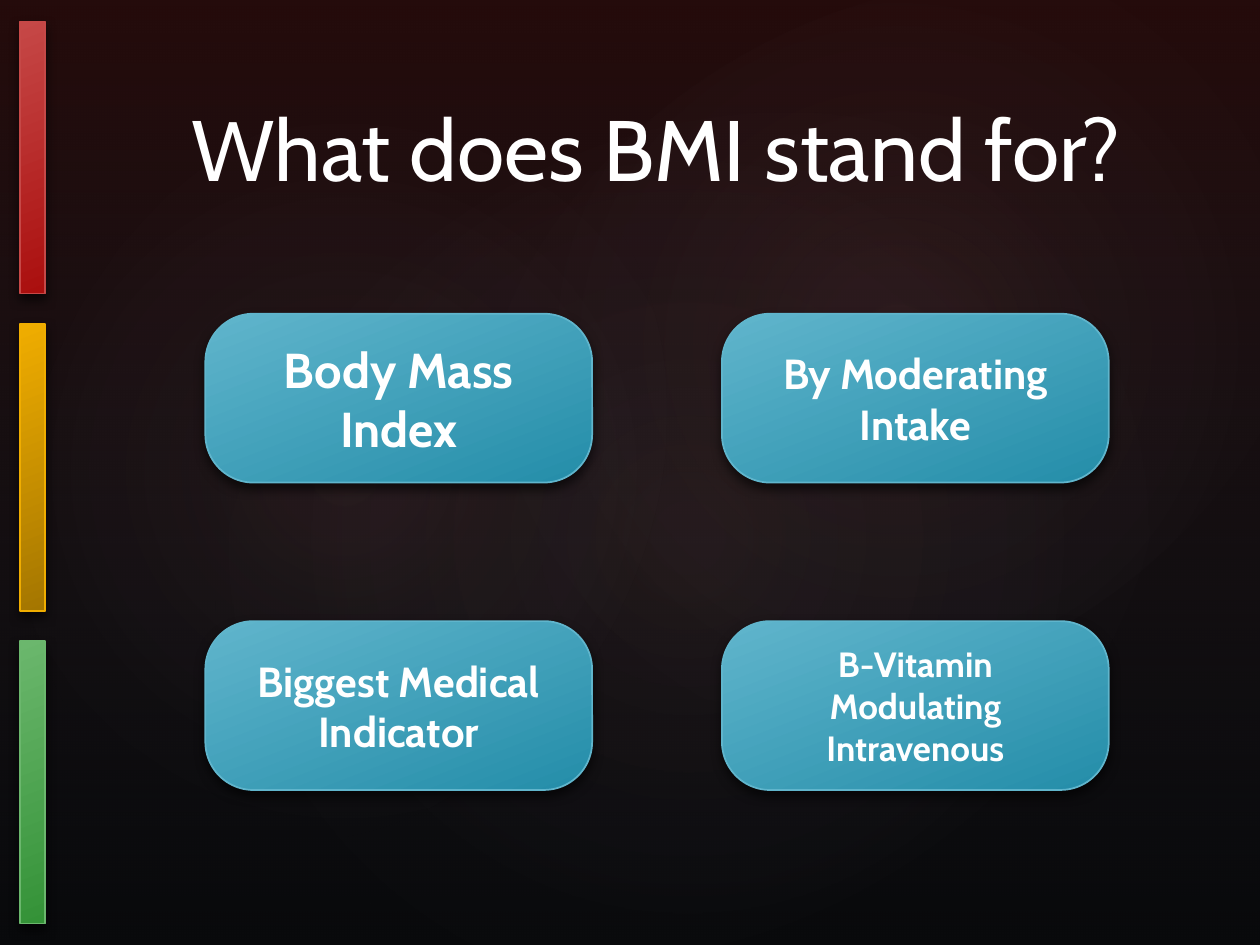
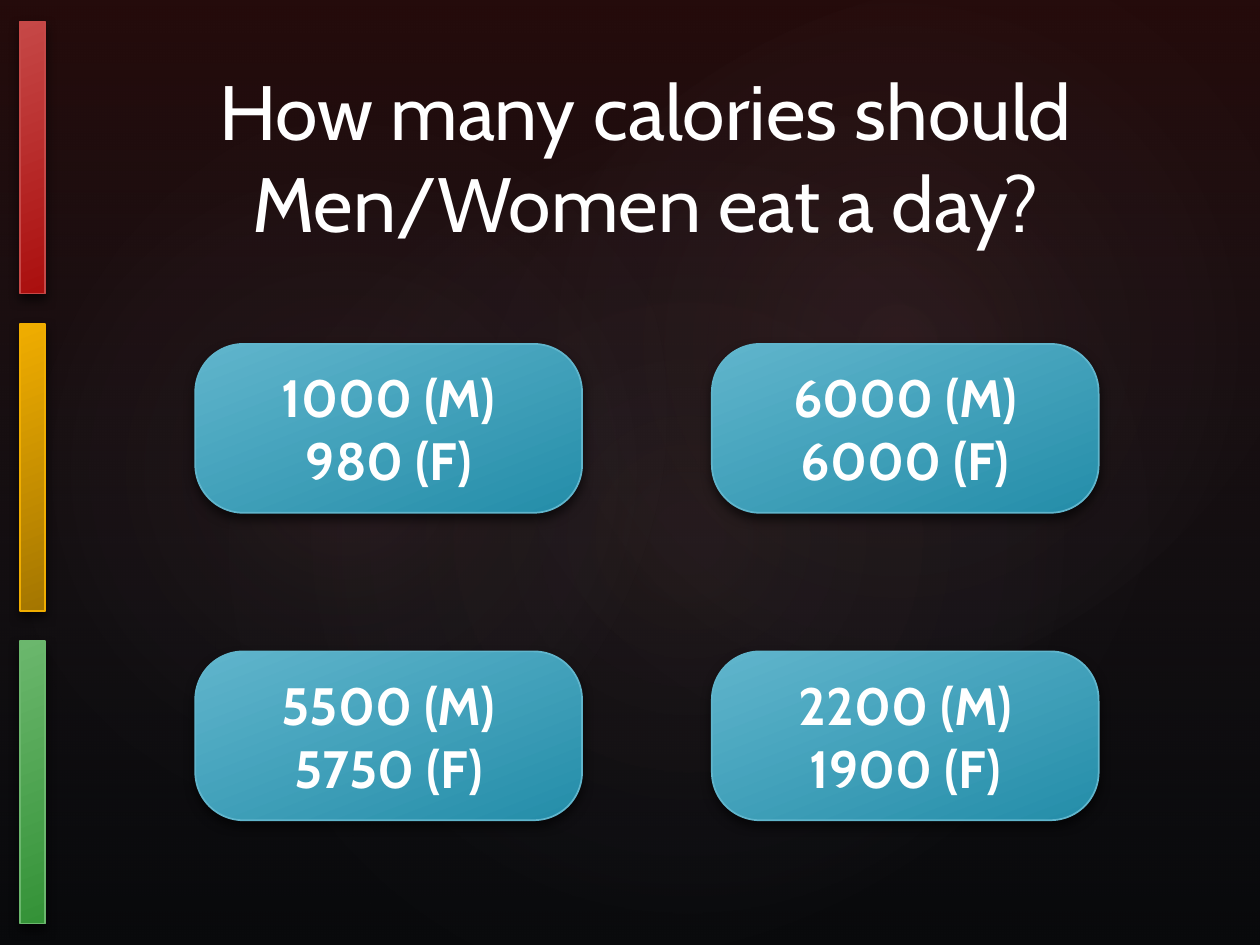
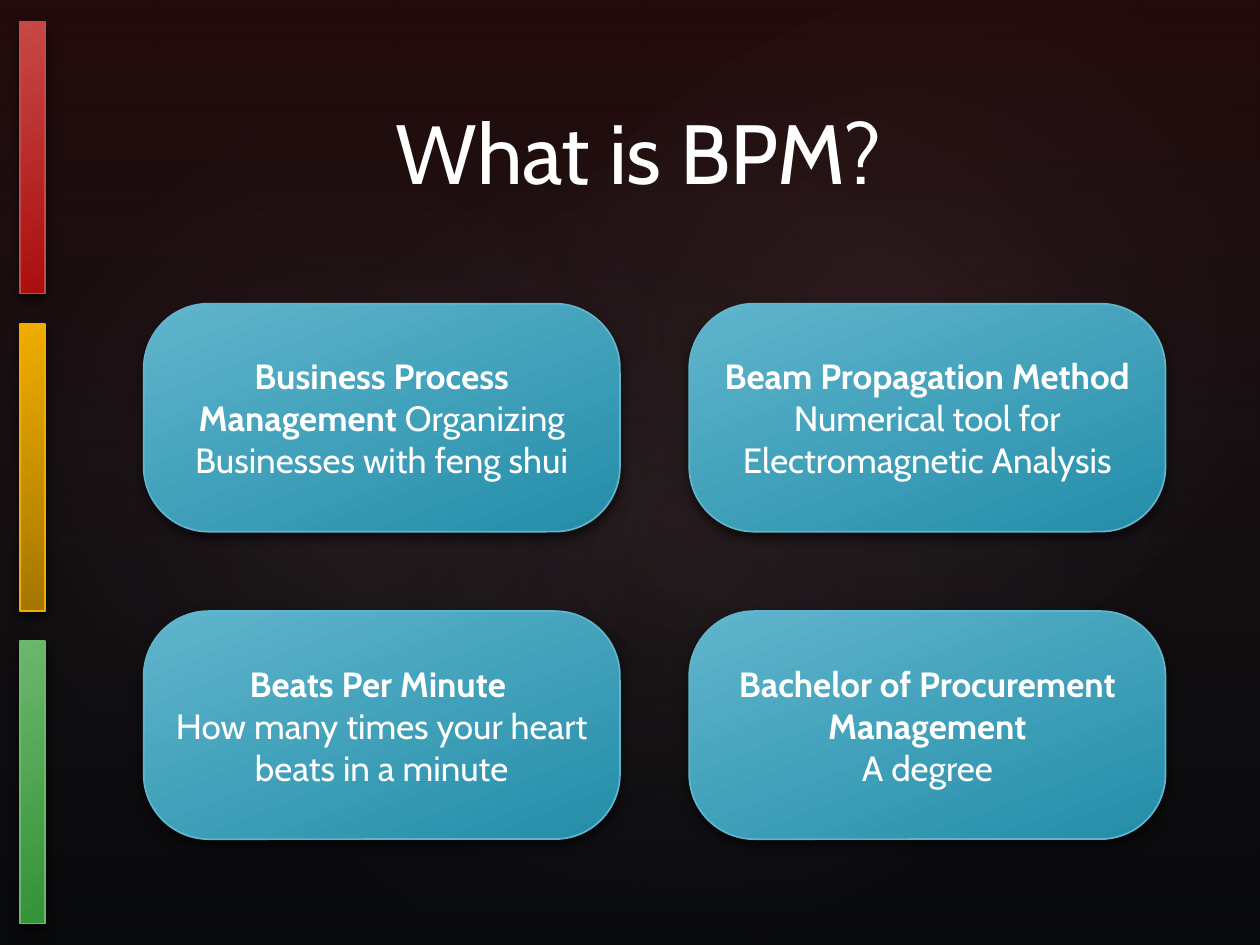
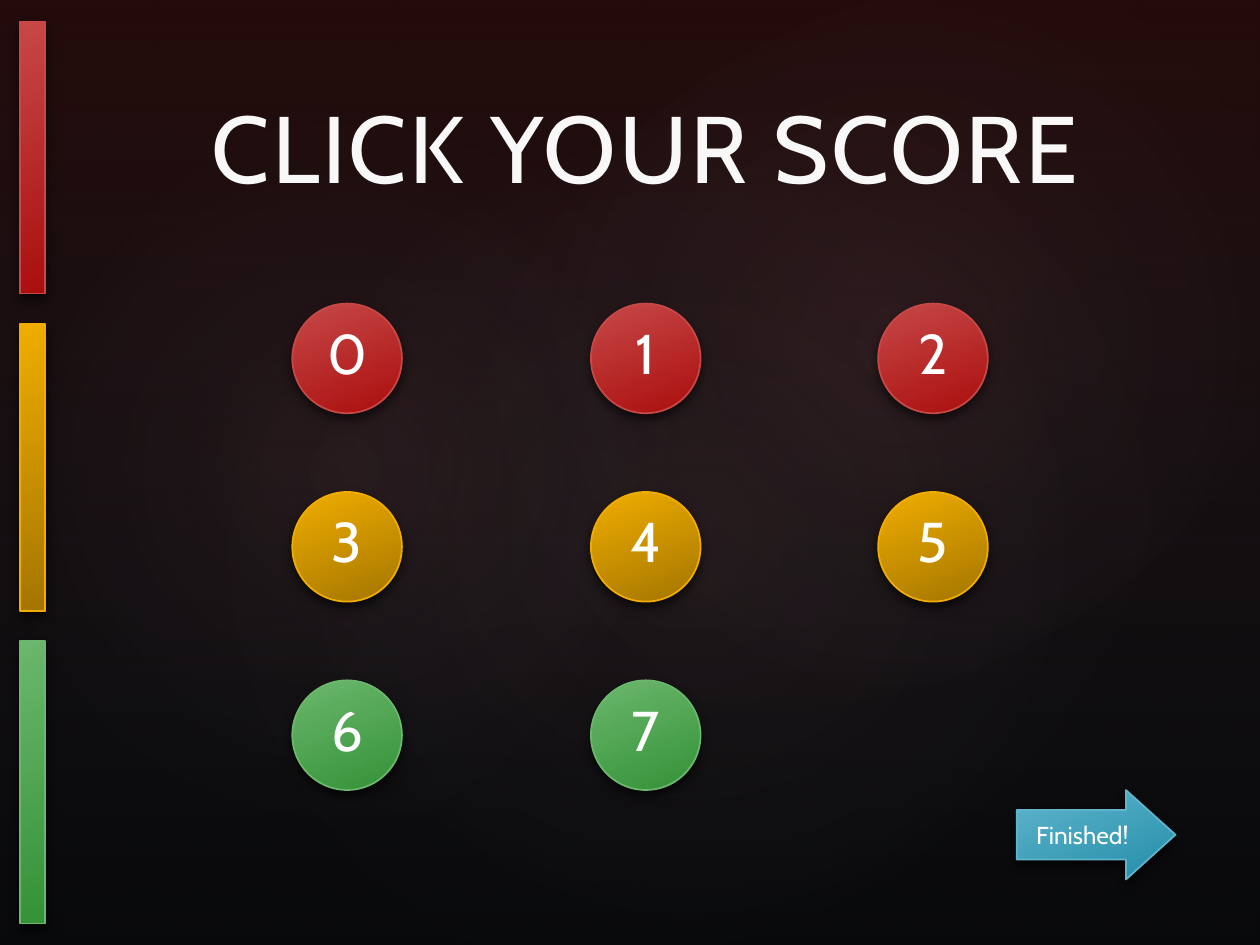
from dataclasses import dataclass
from typing import Any, NamedTuple

from pptx import Presentation
from pptx.dml.color import RGBColor
from pptx.enum.shapes import MSO_SHAPE
from pptx.enum.text import MSO_ANCHOR, PP_ALIGN
from pptx.oxml import parse_xml
from pptx.oxml.ns import nsdecls, qn
from pptx.util import Inches, Length, Pt

RECTANGLE = MSO_SHAPE.RECTANGLE
ROUNDED = MSO_SHAPE.ROUNDED_RECTANGLE
OVAL = MSO_SHAPE.OVAL
ARROW = MSO_SHAPE.RIGHT_ARROW
CENTER = PP_ALIGN.CENTER
MIDDLE = MSO_ANCHOR.MIDDLE
BOTTOM = MSO_ANCHOR.BOTTOM

COLUMNS, ROWS = 100, 75
CELL = Inches(0.1)


class Tone(NamedTuple):
    light: str
    dark: str


@dataclass(frozen=True)
class Theme:
    font: str = "Cabin"
    background: str = "000000"
    text: str = "FFFFFF"
    score_title: str = "F8F8F8"
    wash: str = "672020"
    haze: str = "5A6378"
    glow: str = "DD9191"
    blue: Tone = Tone("60B5CC", "248DA9")
    red: Tone = Tone("C64847", "AA0F0E")
    amber: Tone = Tone("F0AD00", "A47600")
    green: Tone = Tone("6BB76D", "349237")
    score_title_size: int = 54
    score_size: int = 32
    button_size: int = 14


THEME = Theme()


class Box(NamedTuple):
    """A place on the slide, in grid columns and rows."""
    left: float
    top: float
    width: float
    height: float

    def lengths(self) -> list[Length]:
        return [Length(round(cells * CELL)) for cells in self]


class Stop(NamedTuple):
    position: int
    color: str
    opacity: int = 100


class Run(NamedTuple):
    text: str
    bold: bool = False


Paragraphs = list[list[Run]]


class Glow(NamedTuple):
    box: Box
    rotation: float
    opacity: int


class Bar(NamedTuple):
    tone: Tone
    top: float
    height: float


class Answer(NamedTuple):
    paragraphs: Paragraphs
    size: int


@dataclass(frozen=True)
class Question:
    """A title and four answers, listed row by row from the first card."""
    title: str
    title_size: int
    title_box: Box
    first_card: Box
    column_step: float
    row_step: float
    answers: list[Answer]


GLOWS = [
    Glow(Box(15, 11.4, 79.2, 62.4), 328.7, 7),
    Glow(Box(-3, 12.8, 60.6, 49), 294.3, 8),
    Glow(Box(35.8, 1.3, 70.9, 52), 328.7, 8),
]
BARS = [
    Bar(THEME.red, 1.7, 21.6),
    Bar(THEME.amber, 25.7, 22.8),
    Bar(THEME.green, 50.9, 22.4),
]
BAR_LEFT, BAR_WIDTH = 1.6, 2


def bold_lines(size: int, *lines: str) -> Answer:
    return Answer([[Run(line, True)] for line in lines], size)


def term(name: str, meaning: str) -> Answer:
    return Answer([[Run(name, True)], [Run(meaning)]], 20)


QUESTIONS = [
    Question(
        "What does BMI stand for?", 49, Box(10.8, 6, 82.5, 10),
        Box(16.3, 24.9, 30.7, 13.4), 41, 24.4,
        [
            bold_lines(28, "Body Mass Index"),
            bold_lines(24, "By Moderating Intake"),
            bold_lines(24, "Biggest Medical Indicator"),
            bold_lines(20, "B-Vitamin Modulating Intravenous"),
        ],
    ),
    Question(
        "How many calories should Men/Women eat a day?", 44, Box(10, 9.9, 82.5, 10),
        Box(15.5, 27.3, 30.7, 13.4), 41, 24.4,
        [
            bold_lines(30, "1000 (M)", "980 (F)"),
            bold_lines(30, "6000 (M)", "6000 (F)"),
            bold_lines(30, "5500 (M)", "5750 (F)"),
            bold_lines(30, "2200 (M)", "1900 (F)"),
        ],
    ),
    Question(
        "What is BPM? ", 48, Box(22.4, 5.7, 58.1, 10.5),
        Box(11.4, 24.1, 37.8, 18.1), 43.3, 24.4,
        [
            Answer([[Run("Business Process Management ", True),
                     Run("Organizing Businesses with feng shui")]], 20),
            term("Beam Propagation Method", "Numerical tool for Electromagnetic Analysis"),
            term("Beats Per Minute ", "How many times your heart beats in a minute"),
            term("Bachelor of Procurement Management", "A degree"),
        ],
    ),
]

SCORE_TITLE_BOX = Box(7.5, 8.4, 87.4, 7.9)
SCORE_COLUMNS = [23.2, 46.9, 69.7]
SCORE_TONES = [THEME.red, THEME.amber, THEME.green]
SCORE_TOP, SCORE_STEP, SCORE_DIAMETER = 24.1, 14.95, 8.7
SCORE_COUNT = 8
FINISH_BOX = Box(80.7, 62.7, 12.6, 7.1)


def set_all(target: Any, formats: dict[str, Any]) -> None:
    for attribute, value in formats.items():
        setattr(target, attribute, value)


def fill_gradient(shape: Any, stops: list[Stop], angle: int | None = None) -> None:
    """Fill along an angle in degrees, or outwards from the centre without one."""
    stop_xml = "".join(
        f'<a:gs pos="{stop.position * 1000}"><a:srgbClr val="{stop.color}">'
        f'<a:alpha val="{stop.opacity * 1000}"/></a:srgbClr></a:gs>'
        for stop in stops
    )
    if angle is None:
        course = ('<a:path path="circle"><a:fillToRect l="50000" t="50000" '
                  'r="50000" b="50000"/></a:path>')
    else:
        course = f'<a:lin ang="{angle * 60000}" scaled="0"/>'
    gradient = parse_xml(
        f'<a:gradFill {nsdecls("a")} rotWithShape="1">'
        f"<a:gsLst>{stop_xml}</a:gsLst>{course}</a:gradFill>"
    )
    shape.fill.background()
    properties = shape.element.spPr
    properties.replace(properties.find(qn("a:noFill")), gradient)


def add_plain(slide: Any, kind: Any, box: Box) -> Any:
    shape = slide.shapes.add_shape(kind, *box.lengths())
    shape.shadow.inherit = False
    shape.line.fill.background()
    return shape


def add_glossy(slide: Any, kind: Any, box: Box, tone: Tone,
               adjustments: tuple[float, ...] = ()) -> Any:
    """Add a shape with a light-to-dark fill, a thin edge and a drop shadow."""
    shape = add_plain(slide, kind, box)
    for index, adjustment in enumerate(adjustments):
        shape.adjustments[index] = adjustment
    fill_gradient(shape, [Stop(0, tone.light), Stop(100, tone.dark)], 69)
    shape.line.color.rgb = RGBColor.from_string(tone.light)
    shape.line.width = Pt(1)
    shape.element.spPr.find(qn("a:effectLst")).append(parse_xml(
        f'<a:outerShdw {nsdecls("a")} blurRad="{Pt(6)}" dist="{Pt(3)}" '
        'dir="5400000" rotWithShape="0"><a:srgbClr val="000000">'
        '<a:alpha val="60000"/></a:srgbClr></a:outerShdw>'
    ))
    return shape


def write(shape: Any, paragraphs: Paragraphs, size: int, color: str = THEME.text,
          anchor: Any = MIDDLE, line_spacing: float = 1.0) -> None:
    frame = shape.text_frame
    set_all(frame, {"word_wrap": True, "vertical_anchor": anchor})
    for index, runs in enumerate(paragraphs):
        paragraph = frame.add_paragraph() if index else frame.paragraphs[0]
        set_all(paragraph, {"alignment": CENTER, "line_spacing": line_spacing})
        for text, bold in runs:
            run = paragraph.add_run()
            run.text = text
            set_all(run.font, {"name": THEME.font, "size": Pt(size), "bold": bold})
            run.font.color.rgb = RGBColor.from_string(color)


def add_title(slide: Any, text: str, size: int, box: Box, color: str = THEME.text) -> Any:
    title = slide.shapes.add_textbox(*box.lengths())
    write(title, [[Run(text)]], size, color, BOTTOM)
    title.text_frame.margin_bottom = Inches(0.02)
    return title


def add_slide(deck: Any, layout: Any) -> Any:
    slide = deck.slides.add_slide(layout)
    backdrop = slide.background.fill
    backdrop.solid()
    backdrop.fore_color.rgb = RGBColor.from_string(THEME.background)
    for bar in BARS:
        add_glossy(slide, RECTANGLE, Box(BAR_LEFT, bar.top, BAR_WIDTH, bar.height), bar.tone)
    return slide


def move_scenery_to_layout(slide: Any, layout: Any) -> None:
    """Draw the wash and glows, then hand them to the layout all slides share."""
    wash = add_plain(slide, RECTANGLE, Box(0, 0, COLUMNS, ROWS))
    fill_gradient(wash, [Stop(0, THEME.wash, 36), Stop(100, THEME.haze, 10)], 90)
    scenery = [wash]
    for glow in GLOWS:
        halo = add_plain(slide, OVAL, glow.box)
        halo.rotation = glow.rotation
        fill_gradient(halo, [Stop(0, THEME.glow, glow.opacity), Stop(58, THEME.haze, 0)])
        scenery.append(halo)
    for placeholder in list(layout.placeholders):
        layout.shapes.element.remove(placeholder.element)
    for shape in scenery:
        layout.shapes.element.append(shape.element)


def add_question(slide: Any, question: Question) -> None:
    add_title(slide, question.title, question.title_size, question.title_box)
    first = question.first_card
    for index, answer in enumerate(question.answers):
        row, column = divmod(index, 2)
        place = first._replace(left=first.left + column * question.column_step,
                               top=first.top + row * question.row_step)
        card = add_glossy(slide, ROUNDED, place, THEME.blue, (0.285,))
        write(card, answer.paragraphs, answer.size)


def add_score_picker(slide: Any) -> None:
    title = add_title(slide, "CLICK YOUR SCORE", THEME.score_title_size,
                      SCORE_TITLE_BOX, THEME.score_title)
    title.text_frame.paragraphs[0].runs[0].font._element.set("spc", "150")
    for score in range(SCORE_COUNT):
        row, column = divmod(score, len(SCORE_COLUMNS))
        place = Box(SCORE_COLUMNS[column], SCORE_TOP + row * SCORE_STEP,
                    SCORE_DIAMETER, SCORE_DIAMETER)
        button = add_glossy(slide, OVAL, place, SCORE_TONES[row])
        write(button, [[Run(str(score))]], THEME.score_size, line_spacing=0.8)
    finish = add_glossy(slide, ARROW, FINISH_BOX, THEME.blue, (0.554, 0.554))
    write(finish, [[Run("Finished!")]], THEME.button_size)


def main() -> None:
    deck = Presentation()
    set_all(deck, {"slide_width": COLUMNS * CELL, "slide_height": ROWS * CELL})
    blank = deck.slide_layouts[6]
    slides = [add_slide(deck, blank) for _ in range(len(QUESTIONS) + 1)]
    move_scenery_to_layout(slides[0], blank)
    for slide, question in zip(slides, QUESTIONS):
        add_question(slide, question)
    add_score_picker(slides[-1])
    deck.save("out.pptx")


if __name__ == "__main__":
    main()
